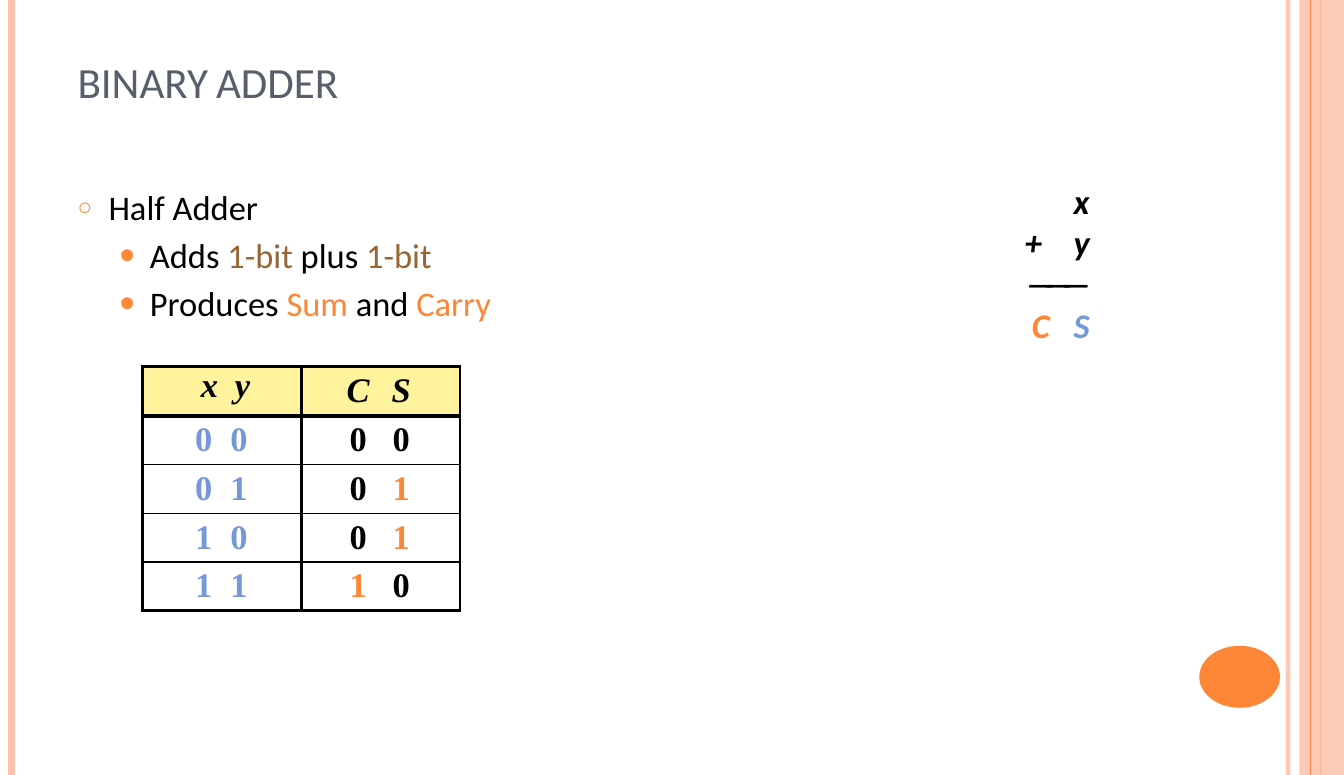
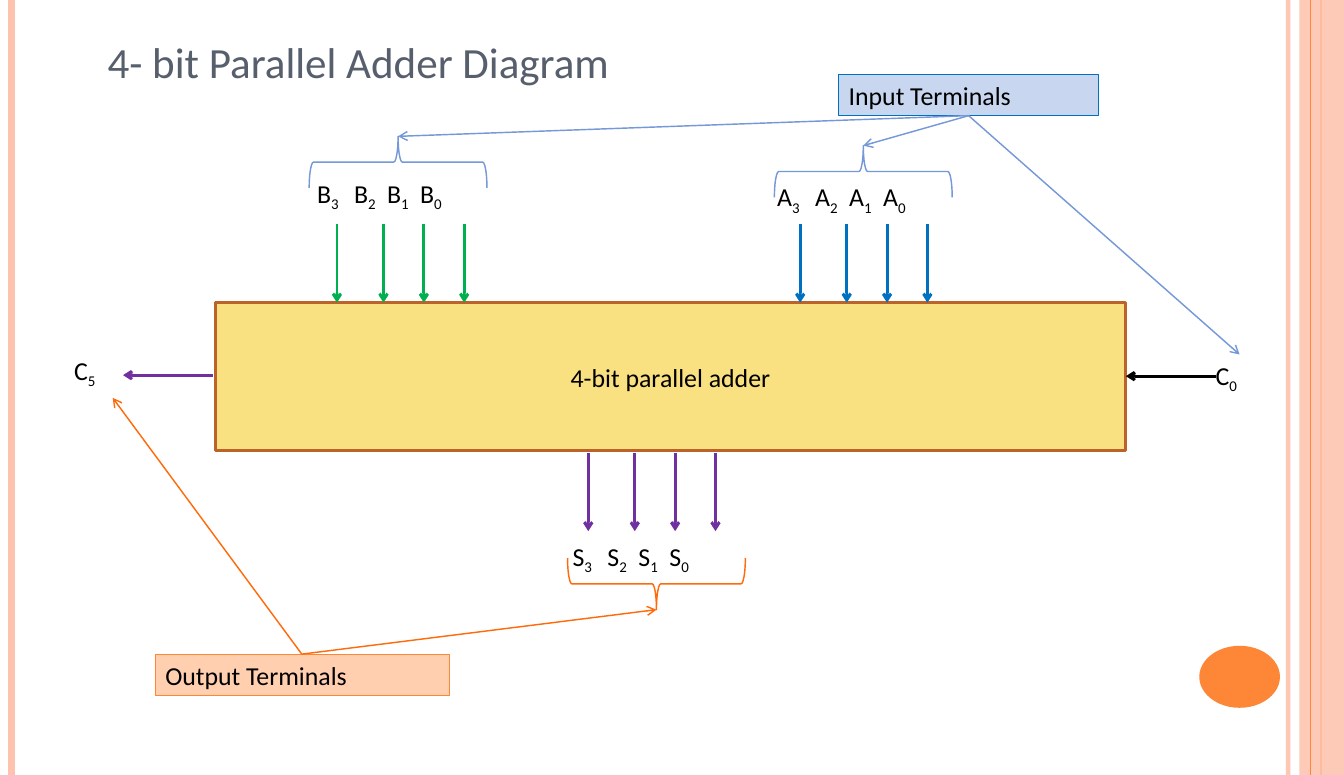
"""Build two slides on binary adders: the half adder and a 4-bit parallel adder."""
from itertools import product

from lxml import etree
from pptx import Presentation
from pptx.dml.color import RGBColor
from pptx.enum import shapes, text
from pptx.oxml import ns
from pptx.util import Pt

BLACK = RGBColor(0x00, 0x00, 0x00)
SLATE = RGBColor(0x57, 0x5F, 0x6D)
ORANGE = RGBColor(0xFE, 0x86, 0x37)
DEEP_ORANGE = RGBColor(0xFF, 0x6B, 0x0A)
PEACH = RGBColor(0xFE, 0xC3, 0xAE)
PALE_ORANGE = RGBColor(0xFF, 0xCF, 0xAF)
BLUE = RGBColor(0x75, 0x98, 0xD9)
STRONG_BLUE = RGBColor(0x00, 0x70, 0xC0)
PALE_BLUE = RGBColor(0xC8, 0xD6, 0xF0)
GREEN = RGBColor(0x00, 0xB0, 0x50)
PURPLE = RGBColor(0x70, 0x30, 0xA0)
BROWN = RGBColor(0x99, 0x66, 0x33)
RUST = RGBColor(0xBC, 0x63, 0x29)
GOLD = RGBColor(0xF9, 0xE1, 0x81)
HEADER_YELLOW = RGBColor(0xFF, 0xF3, 0x9D)

SANS = "Calibri"
SERIF = "Times New Roman"
WIDTH, HEIGHT = 936, 540
ARROW_OFFSETS = (0, 32.4, 60.5, 88.6)


def add_xml(parent, tag, **attributes):
    """Append a DrawingML element to a parent element."""
    return etree.SubElement(parent, ns.qn(f"a:{tag}"), **attributes)


def set_alpha(shape, percent):
    """Make the colours of a shape partly transparent."""
    for colour in shape.element.iter(ns.qn("a:srgbClr")):
        add_xml(colour, "alpha", val=str(percent * 1000))


def place(shape, left, top, width, height):
    """Move and size a shape in points."""
    shape.left, shape.top = Pt(left), Pt(top)
    shape.width, shape.height = Pt(width), Pt(height)


def add_span(para, content, colour=BLACK, size=18, font=SANS, strong=False, slanted=False):
    """Add one formatted run to a paragraph."""
    span = para.add_run()
    span.text = content
    span.font.name = font
    span.font.size = Pt(size)
    span.font.bold = strong
    span.font.italic = slanted
    span.font.color.rgb = colour
    return span


def add_subscripted(para, letter, digit):
    """Add a letter followed by a subscript digit."""
    add_span(para, letter)
    add_span(para, digit).font._element.set("baseline", "-25000")


def set_tabs(para, stops, align="l"):
    """Give a paragraph tab stops in points."""
    tabs = add_xml(para._p.get_or_add_pPr(), "tabLst")
    for stop in stops:
        add_xml(tabs, "tab", pos=str(Pt(stop)), algn=align)


def add_line(page, start, end, colour, weight, arrow=False):
    """Draw a straight line, with an arrowhead at its end on request."""
    line = page.shapes.add_connector(
        shapes.MSO_CONNECTOR.STRAIGHT, *(Pt(value) for value in (*start, *end)))
    line.line.color.rgb = colour
    line.line.width = Pt(weight)
    if arrow:
        add_xml(line.line._get_or_add_ln(), "tailEnd", type="arrow")
    add_xml(line.element.spPr, "effectLst")
    return line


def add_shape(page, kind, frame, fill=None, outline=None, weight=1):
    """Draw a preset shape with an optional fill and outline."""
    shape = page.shapes.add_shape(kind, *(Pt(value) for value in frame))
    shape.shadow.inherit = False
    if fill is None:
        shape.fill.background()
    else:
        shape.fill.solid()
        shape.fill.fore_color.rgb = fill
    if outline is None:
        shape.line.fill.background()
    else:
        shape.line.color.rgb = outline
        shape.line.width = Pt(weight)
    return shape


def add_box(page, left, top, width, height=28.8):
    """Add a wrapping text box that grows with its text."""
    box = page.shapes.add_textbox(Pt(left), Pt(top), Pt(width), Pt(height))
    box.text_frame.word_wrap = True
    box.text_frame.auto_size = text.MSO_AUTO_SIZE.SHAPE_TO_FIT_TEXT
    return box


def add_page(deck, layout, title, frame, anchor, small_caps=False):
    """Add a slide with the shared side bands and a title."""
    page = deck.slides.add_slide(deck.slide_layouts[layout])
    for x, colour, weight in ((897.1, PEACH, 3), (7.9, PEACH, 4.5), (920.2, ORANGE, 1.5)):
        line = add_line(page, (x, 0), (x, HEIGHT), colour, weight)
        if weight == 3:
            set_alpha(line, 93)
    band = add_shape(page, shapes.MSO_SHAPE.RECTANGLE, (905, 0, 31, HEIGHT), PEACH)
    set_alpha(band, 87)
    add_line(page, (913, 0), (913, HEIGHT), ORANGE, 0.75)
    add_shape(page, shapes.MSO_SHAPE.OVAL, (835.2, 450, 56.2, 43.2), ORANGE)

    heading = page.shapes.title
    place(heading, *frame)
    heading.text_frame.auto_size = text.MSO_AUTO_SIZE.NONE
    heading.text_frame.vertical_anchor = anchor
    para = heading.text_frame.paragraphs[0]
    para.alignment = text.PP_ALIGN.LEFT
    span = add_span(para, title, SLATE, 30)
    if small_caps:
        span.font._element.set("cap", "small")
    return page


def fill_list(body, items):
    """Fill the body placeholder with bulleted, coloured runs."""
    frame = body.text_frame
    frame.auto_size = text.MSO_AUTO_SIZE.NONE
    for index, (level, spans) in enumerate(items):
        para = frame.add_paragraph() if index else frame.paragraphs[0]
        para.level = level
        mark, scale, margin = (("○", 70, 21.6), ("●", 80, 50.4))[level]
        props = para._p.get_or_add_pPr()
        props.set("marL", str(Pt(margin)))
        props.set("indent", str(Pt(-21.6)))
        add_xml(add_xml(props, "buClr"), "srgbClr", val=str(ORANGE))
        add_xml(props, "buSzPct", val=str(scale * 1000))
        add_xml(props, "buChar", char=mark)
        para.space_before = Pt(4.5 if index else 0)
        for content, colour in spans:
            add_span(para, content, colour, 24)


def add_borders(cell, **weights):
    """Draw black cell borders, given as L, R, T and B weights."""
    for side, weight in weights.items():
        border = add_xml(cell._tc.get_or_add_tcPr(), f"ln{side}", w=str(Pt(weight)))
        add_xml(add_xml(border, "solidFill"), "srgbClr", val=str(BLACK))


def fill_cell(cell, pair, colours, stops, slanted):
    """Write two centred symbols at tab stops of a table cell."""
    cell.margin_left = cell.margin_right = cell.margin_top = cell.margin_bottom = 0
    para = cell.text_frame.paragraphs[0]
    para.alignment = text.PP_ALIGN.LEFT
    set_tabs(para, stops, "ctr")
    for symbol, colour in zip(pair, colours):
        add_span(para, f"\t{symbol}", colour, 24, SERIF, True, slanted)


def add_truth_table(page):
    """Add the half adder truth table, worked out from its inputs."""
    rows = [("xy", "CS")] + [((x, y), (x & y, x ^ y)) for x, y in product((0, 1), repeat=2)]
    table = page.shapes.add_table(
        len(rows), 2, Pt(99.4), Pt(255.6), Pt(221), Pt(170)).table
    for column in table.columns:
        column.width = Pt(110.5)
    for r, row in enumerate(rows):
        table.rows[r].height = Pt(34)
        for c, pair in enumerate(row):
            cell = table.cell(r, c)
            add_borders(cell, L=3 if c else 2.25, R=2.25 if c else 3,
                        T={0: 2.25, 1: 3}.get(r, 1),
                        B={0: 3, len(rows) - 1: 2.25}.get(r, 1))
            header = r == 0
            if header:
                cell.fill.solid()
                cell.fill.fore_color.rgb = HEADER_YELLOW
                colours = (BLACK, BLACK)
            else:
                cell.fill.background()
                colours = [ORANGE if bit else BLACK for bit in pair] if c else (BLUE, BLUE)
            if not (header and c == 0):
                cell.vertical_anchor = text.MSO_ANCHOR.MIDDLE
            stops = (39.5, 69.5) if c else (46.5, 69.5) if header else (42.5, 67)
            fill_cell(cell, pair, colours, stops, header)


def add_column_sum(page):
    """Set out x plus y as a written column addition."""
    box = add_box(page, 666.7, 125.3, 96, 116.6)
    frame = box.text_frame
    frame.margin_left = frame.margin_right = frame.margin_top = frame.margin_bottom = 0
    rows = (
        [("x", BLACK, 81)],
        [("+", BLACK, 47), ("y", BLACK, 81)],
        [("───", BLACK, 52)],
        [("C", ORANGE, 52), ("S", BLUE, 81)],
    )
    for index, row in enumerate(rows):
        para = frame.add_paragraph() if index else frame.paragraphs[0]
        set_tabs(para, [stop for _, _, stop in row])
        for symbol, colour, _ in row:
            add_span(para, f"\t{symbol}", colour, 24, SANS, True, True)


def add_bit_labels(page, letter, left, top, step):
    """Label four terminals, from bit 3 down to bit 0."""
    para = add_box(page, left, top, 146.9).text_frame.paragraphs[0]
    set_tabs(para, [2.7 + step * place_number for place_number in (1, 2, 3)])
    for digit in "3210":
        add_subscripted(para, letter if digit == "3" else f"\t{letter}", digit)


def add_brace(page, centre_x, centre_y, rotation, colour):
    """Draw a brace lying on its side around a centre."""
    brace = add_shape(page, shapes.MSO_SHAPE.LEFT_BRACE,
                      (centre_x - 18, centre_y - 61.9, 36, 123.8), None, colour)
    brace.rotation = rotation


def add_terminal_note(page, content, frame, fill, outline):
    """Add a filled caption box."""
    box = add_box(page, *frame)
    box.fill.solid()
    box.fill.fore_color.rgb = fill
    box.line.color.rgb = outline
    box.line.width = Pt(0.75)
    add_span(box.text_frame.paragraphs[0], content)


def build_half_adder(deck):
    """Build the half adder slide."""
    page = add_page(deck, 1, "BINARY ADDER", (46.8, 21.6, 787.7, 56.9),
                    text.MSO_ANCHOR.BOTTOM, small_caps=True)
    add_truth_table(page)
    add_column_sum(page)
    body = page.placeholders[1]
    place(body, 46.8, 126, 787.7, 383.8)
    fill_list(body, (
        (0, [("Half Adder", BLACK)]),
        (1, [("Adds ", BLACK), ("1-bit", BROWN), (" plus ", BLACK), ("1-bit", BROWN)]),
        (1, [("Produces ", BLACK), ("Sum", ORANGE), (" and ", BLACK), ("Carry", ORANGE)]),
    ))


def build_parallel_adder(deck):
    """Build the 4-bit parallel adder diagram."""
    page = add_page(deck, 5, "4- bit Parallel Adder Diagram", (67.7, 20.9, 653.8, 43.9),
                    text.MSO_ANCHOR.TOP)
    adder = add_shape(page, shapes.MSO_SHAPE.RECTANGLE, (149.8, 211, 634.3, 103), GOLD, RUST, 2)
    adder.text_frame.vertical_anchor = text.MSO_ANCHOR.MIDDLE
    para = adder.text_frame.paragraphs[0]
    para.alignment = text.PP_ALIGN.CENTER
    add_span(para, "4-bit parallel adder")

    for left, top, colour in ((557.3, 156.2, STRONG_BLUE), (234.7, 156.2, GREEN),
                              (409.7, 315.4, PURPLE)):
        for offset in ARROW_OFFSETS:
            x = left + offset
            add_line(page, (x, top), (x, top + 54.7), colour, 2, arrow=True)
    add_line(page, (846.7, 262.1), (784.1, 262.1), BLACK, 2, arrow=True)
    add_line(page, (148.3, 261.4), (85.7, 261.4), PURPLE, 2, arrow=True)

    add_bit_labels(page, "B", 213.8, 120.2, 23)
    add_bit_labels(page, "A", 534.2, 122.4, 23.7)
    add_bit_labels(page, "S", 391.7, 373, 21.6)
    for digit, left, top in (("0", 839.5, 247), ("5", 44.6, 243.4)):
        add_subscripted(add_box(page, left, top, 47.5).text_frame.paragraphs[0], "C", digit)

    add_terminal_note(page, "Input Terminals", (583.9, 51.8, 181.4), PALE_BLUE, STRONG_BLUE)
    add_terminal_note(page, "Output Terminals", (108, 455.8, 205.2), PALE_ORANGE, ORANGE)
    add_brace(page, 601.2, 119.5, 90, BLUE)
    add_brace(page, 277.2, 113, 90, BLUE)
    add_brace(page, 457.2, 406.8, 270, DEEP_ORANGE)
    for end in ((863.3, 247), (601.2, 101.5), (277.2, 95)):
        add_line(page, (674.6, 80.6), end, BLUE, 1, arrow=True)
    for end in ((457.2, 424.8), (78.5, 277.2)):
        add_line(page, (210.2, 455.8), end, DEEP_ORANGE, 1, arrow=True)


def main():
    """Build and save the deck."""
    deck = Presentation()
    deck.slide_width, deck.slide_height = Pt(WIDTH), Pt(HEIGHT)
    build_half_adder(deck)
    build_parallel_adder(deck)
    deck.save("out.pptx")


if __name__ == "__main__":
    main()
